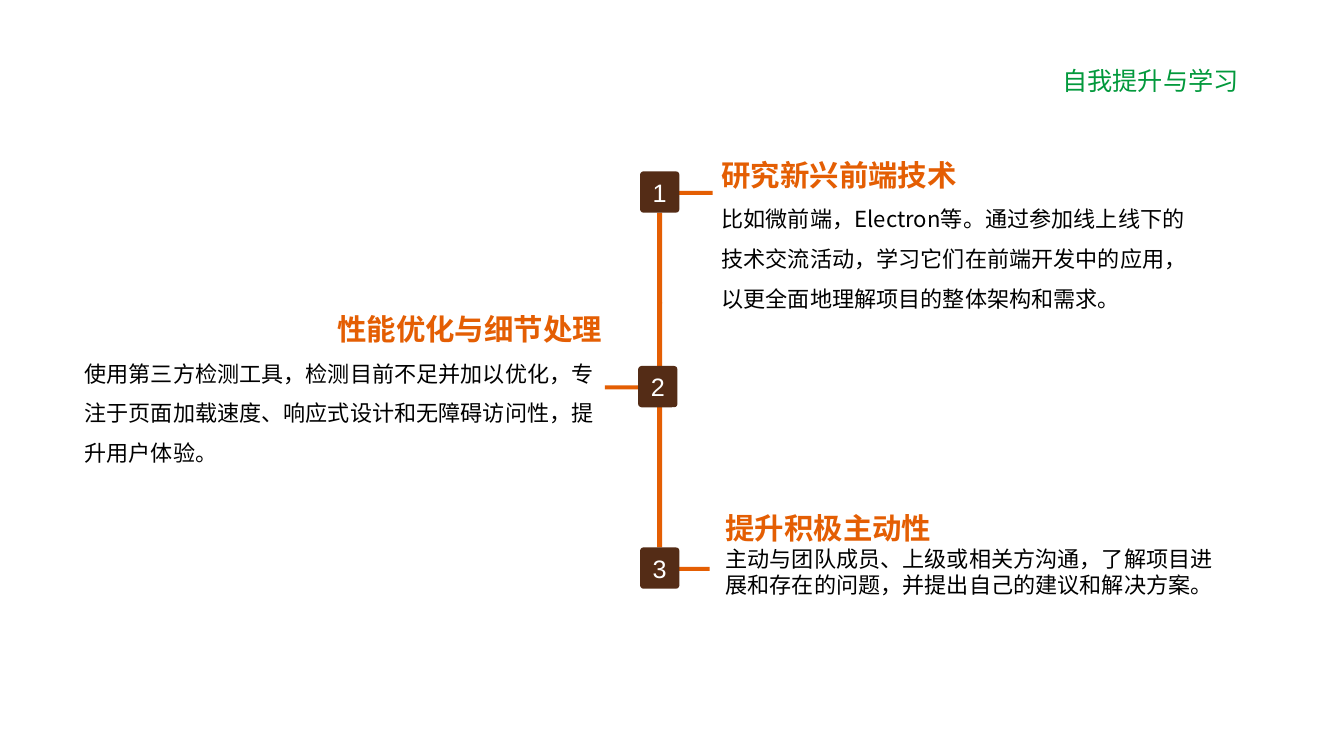
from lxml import etree
from pptx import Presentation
from pptx import util as u
from pptx.dml.color import RGBColor
from pptx.enum import shapes, text
from pptx.oxml.ns import qn

Pt = u.Pt
SHAPE = shapes.MSO_SHAPE
ALIGN = text.PP_ALIGN
ANCHOR = text.MSO_ANCHOR
HAN = "Noto Sans CJK SC"
ORANGE, BROWN, GREEN = "E45E03", "542C16", "02993C"
BLACK, WHITE = "000000", "FFFFFF"
ARM_W, ARM_H = 24.5, 2.9
NODE_W, NODE_H = 28.1, 29.5


def paint(fmt, code):
    fmt.rgb = RGBColor.from_string(code)


def style(para, size, code, face=HAN, bold=False):
    for run in para.runs:
        font = run.font
        font.size, font.name, font.bold = Pt(size), face, bold
        paint(font.color, code)
        etree.SubElement(font._element, qn("a:ea")).set("typeface", face)


def block(slide, kind, box, code):
    shape = slide.shapes.add_shape(kind, *map(Pt, box))
    shape.shadow.inherit = False
    shape.fill.solid()
    paint(shape.fill.fore_color, code)
    shape.line.fill.background()
    return shape


def node(slide, x, y, label, arm):
    block(slide, SHAPE.RECTANGLE, (arm, y + 13.9, ARM_W, ARM_H), ORANGE)
    badge = block(slide, SHAPE.ROUNDED_RECTANGLE, (x, y, NODE_W, NODE_H), BROWN)
    badge.adjustments[0] = 0.088
    frame = badge.text_frame
    frame.margin_left = frame.margin_right = 0
    frame.margin_top = frame.margin_bottom = 0
    frame.vertical_anchor = ANCHOR.MIDDLE
    frame.text = label
    para = frame.paragraphs[0]
    para.alignment = ALIGN.CENTER
    style(para, 18, WHITE, "Arial")


def topic(slide, box, title, body, side, space, anchor):
    frame = slide.shapes.add_textbox(*map(Pt, box)).text_frame
    frame.word_wrap = True
    frame.vertical_anchor = anchor
    frame.text = title
    head = frame.paragraphs[0]
    head.alignment = side
    style(head, 21, ORANGE, bold=True)
    para = frame.add_paragraph()
    para.text = body
    para.alignment = ALIGN.LEFT
    para.line_spacing = space
    style(para, 15.8, BLACK)


def header(slide, box, title):
    frame = slide.shapes.add_textbox(*map(Pt, box)).text_frame
    frame.word_wrap = False
    frame.text = title
    para = frame.paragraphs[0]
    para.alignment = ALIGN.RIGHT
    style(para, 18, GREEN)


TOPICS = [
    ((508.3, 108, 357.8, 118.8), "研究新兴前端技术",
     "比如微前端，Electron等。通过参加线上线下的技术交流活动，"
     "学习它们在前端开发中的应用，以更全面地理解项目的整体架构和需求。",
     ALIGN.LEFT, 1.5, ANCHOR.MIDDLE),
    ((53.3, 218.2, 383.8, 118.8), "性能优化与细节处理",
     "使用第三方检测工具，检测目前不足并加以优化，"
     "专注于页面加载速度、响应式设计和无障碍访问性，提升用户体验。",
     ALIGN.RIGHT, 1.5, ANCHOR.MIDDLE),
    ((511.2, 360.7, 371.5, 90), "提升积极主动性",
     "主动与团队成员、上级或相关方沟通，了解项目进展和存在的问题，"
     "并提出自己的建议和解决方案。",
     ALIGN.LEFT, 1.0, ANCHOR.TOP),
]
SPINE = [(469.4, 151.9, 3.6, 64.8), (469.4, 216, 3.6, 175)]
NODES = [(457.2, 122.4, 484.6), (455.8, 261.4, 432), (457.2, 391, 482.4)]


def main():
    deck = Presentation()
    deck.slide_width, deck.slide_height = Pt(960), Pt(540)
    slide = deck.slides.add_slide(deck.slide_layouts[6])
    for item in TOPICS:
        topic(slide, *item)
    for bar in SPINE:
        block(slide, SHAPE.RECTANGLE, bar, ORANGE)
    for count, (x, y, arm) in enumerate(NODES, 1):
        node(slide, x, y, str(count), arm)
    header(slide, (750.2, 43.2, 141.8, 28.8), "自我提升与学习")
    deck.save("out.pptx")


if __name__ == "__main__":
    main()
